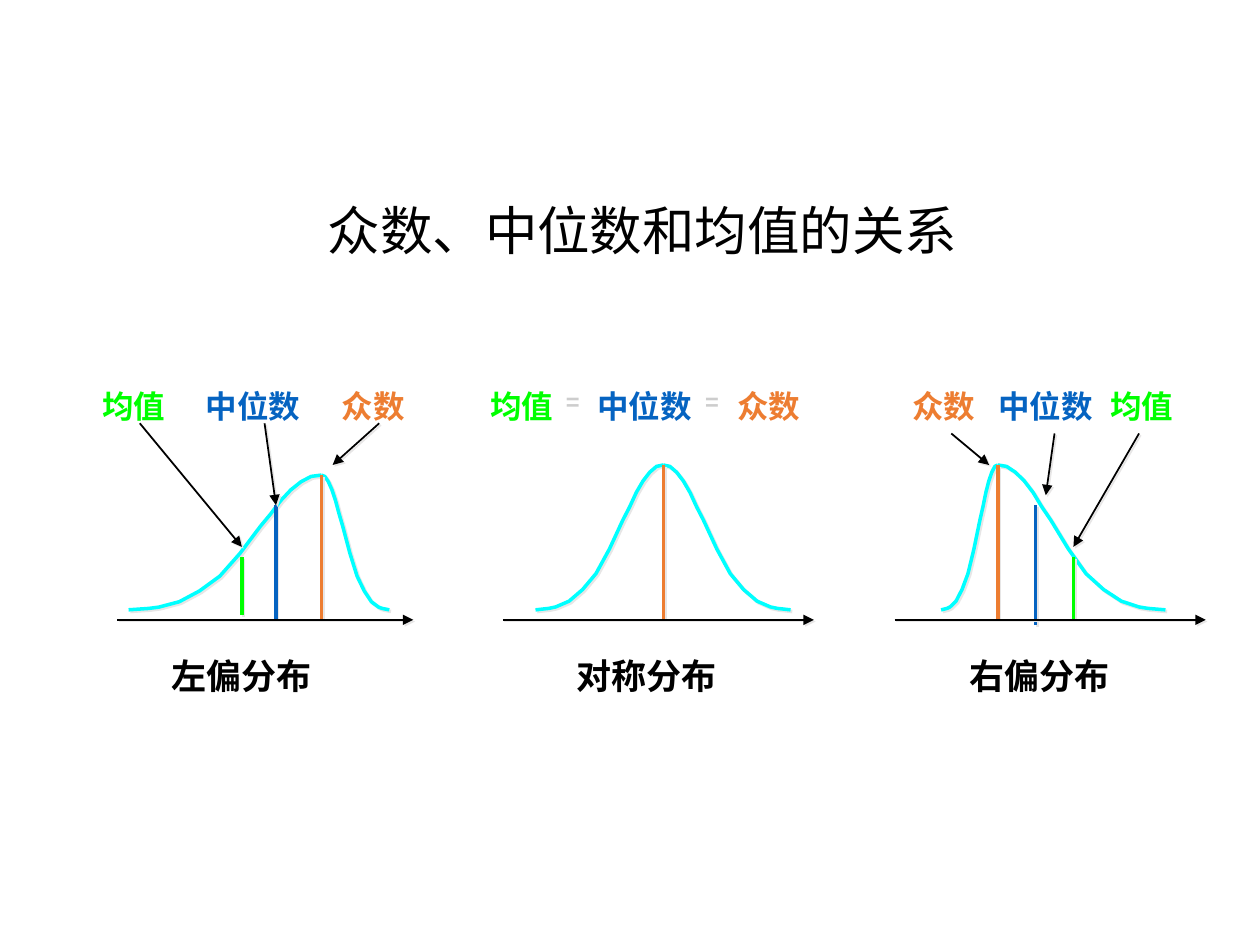
from pptx import Presentation
from pptx.dml.color import RGBColor
from pptx.enum.shapes import MSO_CONNECTOR
from pptx.enum.text import MSO_ANCHOR, MSO_AUTO_SIZE, PP_ALIGN
from pptx.oxml import parse_xml
from pptx.oxml.ns import nsdecls
from pptx.util import Pt

STRAIGHT = MSO_CONNECTOR.STRAIGHT
MIDDLE = MSO_ANCHOR.MIDDLE
GROW = MSO_AUTO_SIZE.SHAPE_TO_FIT_TEXT
CENTER = PP_ALIGN.CENTER

BLACK, GRAY, CYAN = "000000", "CDCDCD", "00FFFF"
MEAN = ("均值", "00FF00")
MEDIAN = ("中位数", "0563C1")
MODE = ("众数", "ED7D31")
EQUAL = ("=", GRAY)

FOOT, AXIS = 348.5, 354.2
LABEL_TOP, NAME_TOP = 218.2, 371.5
# Share of the way from foot to peak, in 19ths, and share of the height
BELL = [(0, 0), (2, .01), (3, .02), (4, .04), (5, .06), (6, .1), (7, .14),
        (9, .25), (11, .42), (13, .62), (14, .71), (15, .81), (16, .89),
        (17, .95), (18, .99), (19, 1)]

# Labels: (word, left). Bars: (word, x, top, bottom). Arrows: (x1, y1, x2, y2).
PLOTS = [
    {"name": ("左偏分布", 92.9), "axis": (67, 236.2),
     "feet": (73.5, 222.5), "peak": (183.6, 271.5),
     "labels": [(MEAN, 53.3), (MEDIAN, 112.3), (MODE, 190.1)],
     "bars": [(MODE, 183.6, 271.5, AXIS), (MEDIAN, 157.7, 288.7, AXIS),
              (MEAN, 138.2, 318.2, 351.4)],
     "arrows": [(216.7, 241.9, 190.1, 265.7), (151.2, 241.9, 157.7, 288.7),
                (79.9, 241.9, 138.2, 312.5)]},
    {"name": ("对称分布", 324), "axis": (287.3, 465.1),
     "feet": (306, 451.8), "peak": (379, 265.7),
     "labels": [(MEAN, 275), (EQUAL, 318.2), (MEDIAN, 336.2),
                (EQUAL, 397.8), (MODE, 416.2)],
     "bars": [(MODE, 379.2, 265.7, AXIS)],
     "arrows": []},
    {"name": ("右偏分布", 548.6), "axis": (511.2, 689),
     "feet": (537.8, 666), "peak": (570.2, 265.7),
     "labels": [(MODE, 516.2), (MEDIAN, 565.2), (MEAN, 629.3)],
     "bars": [(MODE, 570.2, 265.7, AXIS), (MEDIAN, 591.8, 288.7, 357.1),
              (MEAN, 613.4, 318.2, AXIS)],
     "arrows": [(543.6, 247.7, 565.2, 265.7), (602.6, 247.7, 597.6, 283),
                (650.9, 247.7, 613.4, 312.5)]},
]


def color(code):
    return RGBColor.from_string(code)


def shade(props):
    """Append the pale shadow to shape or run properties."""
    props.append(parse_xml(
        f'<a:effectLst {nsdecls("a")}><a:outerShdw dist="17780" dir="2700000">'
        '<a:srgbClr val="E7E6E6"/></a:outerShdw></a:effectLst>'))


def add_text(shapes, text, box, size, code, face="Arial", bold=True):
    shape = shapes.add_textbox(*map(Pt, box))
    frame = shape.text_frame
    frame.margin_left = frame.margin_right = Pt(5.2)
    frame.margin_top = frame.margin_bottom = Pt(2.7)
    para = frame.paragraphs[0]
    run = para.add_run()
    run.text = text
    font = para.font
    font.name, font.size, font.bold = face, Pt(size), bold
    font.color.rgb = color(code)
    return frame


def add_label(shapes, text, left, top, size, code):
    wide = 31 if text == "=" else len(text) * size + 11
    frame = add_text(shapes, text, (left, top, wide, size * 1.2 + 6), size, code)
    frame.word_wrap = False
    frame.auto_size = GROW
    shade(frame.paragraphs[0].runs[0].font._element)


def add_line(shapes, x1, y1, x2, y2, code=BLACK, width=1, arrow=True):
    line = shapes.add_connector(STRAIGHT, *map(Pt, (x1, y1, x2, y2)))
    line.line.color.rgb = color(code)
    line.line.width = Pt(width)
    props = line._element.spPr
    if arrow:
        props.ln.append(parse_xml(f'<a:tailEnd {nsdecls("a")} type="triangle"/>'))
    shade(props)


def add_curve(shapes, foot, peak, top):
    """Draw one half of a bell from its foot up to its peak."""
    dots = [(Pt(foot + (peak - foot) * step / 19), Pt(FOOT - (FOOT - top) * rise))
            for step, rise in BELL]
    pen = shapes.build_freeform(*dots[0])
    pen.add_line_segments(dots[1:], close=False)
    curve = pen.convert_to_shape()
    curve.fill.background()
    curve.line.color.rgb = color(CYAN)
    curve.line.width = Pt(2)
    shade(curve._element.spPr)


def add_plot(shapes, plot):
    name, left = plot["name"]
    add_label(shapes, name, left, NAME_TOP, 20, BLACK)
    for foot in plot["feet"]:
        add_curve(shapes, foot, *plot["peak"])
    for (word, code), left in plot["labels"]:
        add_label(shapes, word, left, LABEL_TOP, 13.5 if word == "=" else 18, code)
    for (_, code), x, top, base in plot["bars"]:
        add_line(shapes, x, top, x, base, code, 2, False)
    for ends in plot["arrows"]:
        add_line(shapes, *ends)
    start, end = plot["axis"]
    add_line(shapes, start, AXIS, end, AXIS)


def main():
    deck = Presentation()
    deck.slide_width, deck.slide_height = Pt(720), Pt(540)
    slide = deck.slides.add_slide(deck.slide_layouts[6])
    title = add_text(slide.shapes, "众数、中位数和均值的关系",
                     (169.2, 99.4, 396, 67.7), 30, BLACK, "Calibri", False)
    title.word_wrap = True
    title.vertical_anchor = MIDDLE
    title.paragraphs[0].alignment = CENTER
    title.paragraphs[0].line_spacing = 0.9
    for plot in PLOTS:
        add_plot(slide.shapes.add_group_shape().shapes, plot)
    deck.save("out.pptx")


if __name__ == "__main__":
    main()
